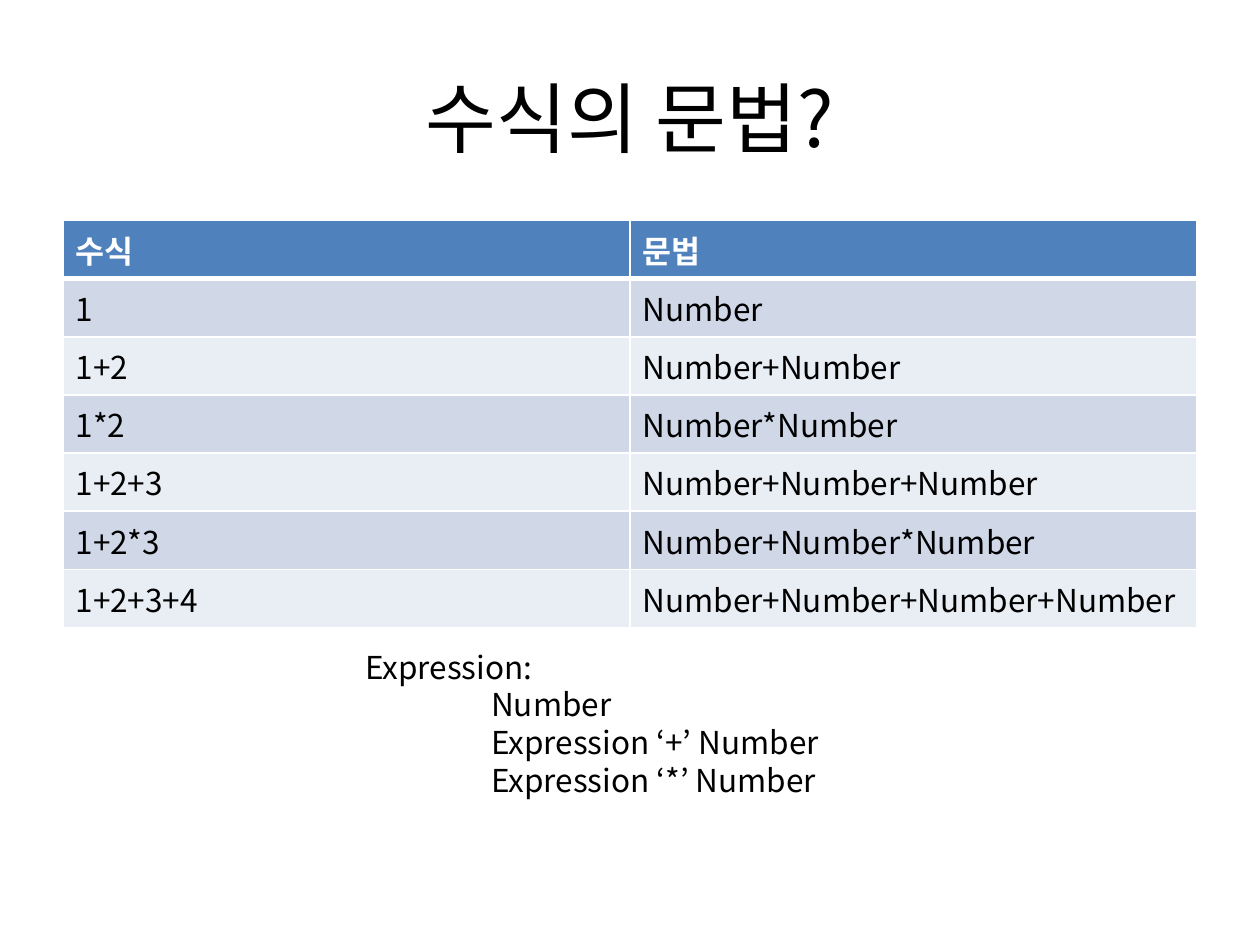
from dataclasses import dataclass

from lxml.etree import SubElement
from pptx import Presentation
from pptx.dml.color import RGBColor
from pptx.enum.text import MSO_ANCHOR, PP_ALIGN
from pptx.oxml.ns import qn
from pptx.util import Inches, Pt

TITLE = "수식의 문법?"
ROWS = [
    ("수식", "문법"),
    ("1", "Number"),
    ("1+2", "Number+Number"),
    ("1*2", "Number*Number"),
    ("1+2+3", "Number+Number+Number"),
    ("1+2*3", "Number+Number*Number"),
    ("1+2+3+4", "Number+Number+Number+Number"),
]
# Each rule line: indent in inches, text
RULES = [
    (0, "Expression:"),
    (1, "Number"),
    (1, "Expression ‘+’ Number"),
    (1, "Expression ‘*’ Number"),
]


@dataclass(frozen=True)
class Theme:
    """Colours, font and type sizes."""
    font: str = "Noto Sans CJK KR"
    ink: str = "000000"
    white: str = "FFFFFF"
    head: str = "4F81BD"
    bands: tuple = ("D0D8E8", "E9EDF4")
    big: int = 44
    body: int = 18


THEME = Theme()


def style(para, size, color, bold=False):
    """Set the font of a paragraph for Latin and Korean text."""
    font = para.font
    font.name, font.size, font.bold = THEME.font, Pt(size), bold
    font.color.rgb = RGBColor.from_string(color)
    for run in para.runs:
        props = run._r.get_or_add_rPr()
        SubElement(props, qn("a:ea")).set("typeface", THEME.font)


def add_text(slide, box, lines, size, anchor=MSO_ANCHOR.TOP, align=PP_ALIGN.LEFT):
    """Add a text box with one indented paragraph per line."""
    frame = slide.shapes.add_textbox(*map(Inches, box)).text_frame
    frame.word_wrap = True
    frame.vertical_anchor = anchor
    frame.text = "\n".join(text for _, text in lines)
    for para, (indent, _) in zip(frame.paragraphs, lines):
        para.alignment = align
        para._p.get_or_add_pPr().set("marL", str(Inches(indent)))
        style(para, size, THEME.ink)


def add_edges(cell, widths):
    """Draw white cell borders; widths maps a side to points."""
    props = cell._tc.get_or_add_tcPr()
    for spot, (side, width) in enumerate(widths.items()):
        line = props.makeelement(qn(f"a:ln{side}"), {"w": str(Pt(width))})
        fill = SubElement(line, qn("a:solidFill"))
        SubElement(fill, qn("a:srgbClr")).set("val", THEME.white)
        props.insert(spot, line)


def add_grid(slide, box, rows):
    """Add the table with a header row and banded body rows."""
    shape = slide.shapes.add_table(len(rows), len(rows[0]), *map(Inches, box))
    for r, row in enumerate(rows):
        head = r == 0
        fill = THEME.head if head else THEME.bands[(r - 1) % 2]
        color = THEME.white if head else THEME.ink
        edges = {"L": 1, "R": 1, "T": 3 if r == 1 else 1, "B": 3 if head else 1}
        for c, text in enumerate(row):
            cell = shape.table.cell(r, c)
            cell.text = text
            style(cell.text_frame.paragraphs[0], THEME.body, color, head)
            cell.fill.solid()
            cell.fill.fore_color.rgb = RGBColor.from_string(fill)
            add_edges(cell, edges)


def main():
    """Build and save the slide."""
    deck = Presentation()
    deck.slide_width, deck.slide_height = Inches(10), Inches(7.5)
    slide = deck.slides.add_slide(deck.slide_layouts[6])
    add_text(slide, (0.5, 0.3, 9, 1.25), [(0, TITLE)], THEME.big,
             MSO_ANCHOR.MIDDLE, PP_ALIGN.CENTER)
    add_grid(slide, (0.5, 1.75, 9, 3.23), ROWS)
    add_text(slide, (2.8, 5.09, 3.81, 1.31), RULES, THEME.body)
    deck.save("out.pptx")


main()
